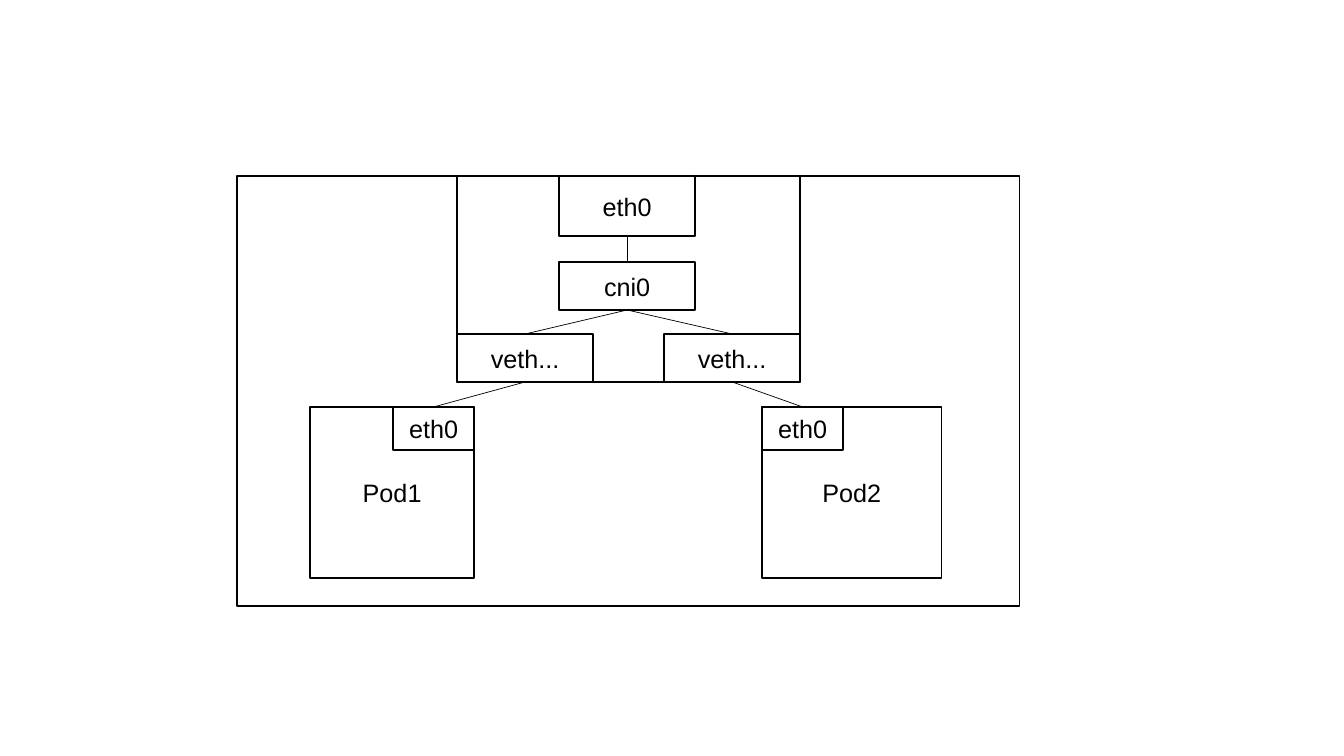
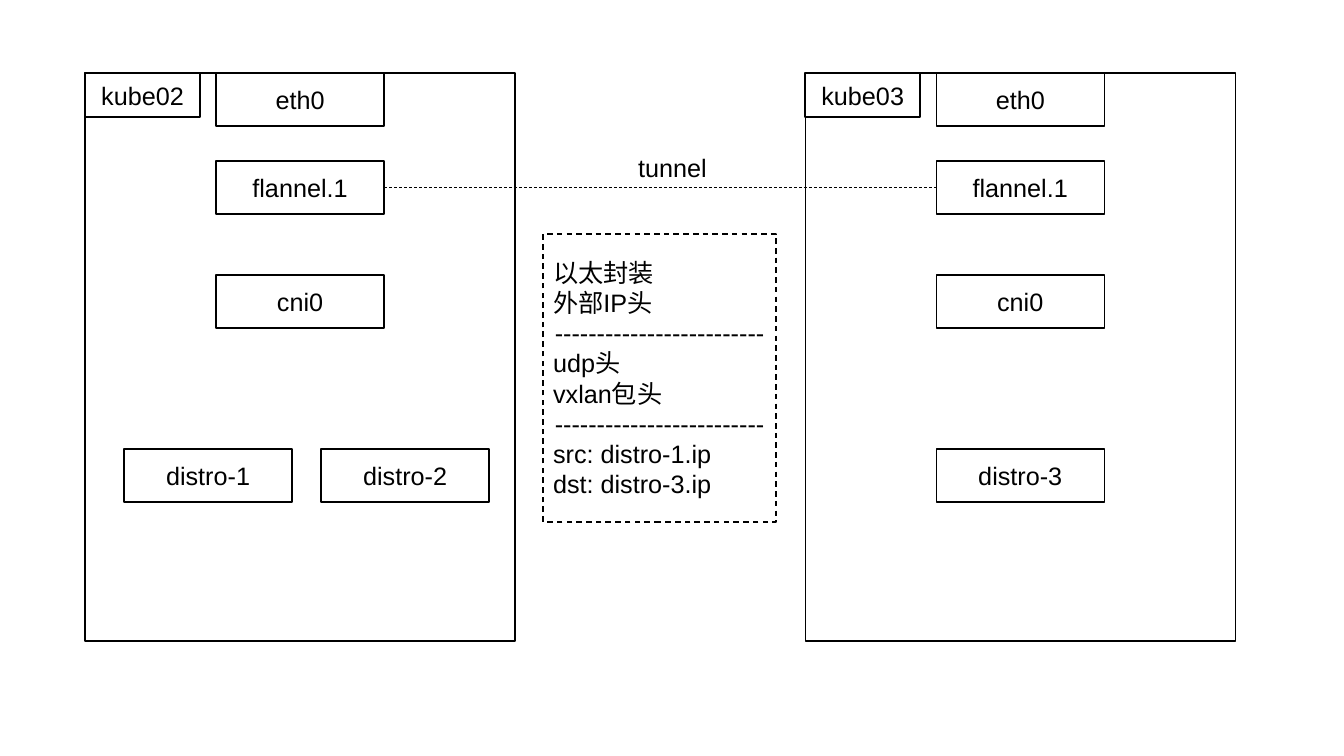
from pptx import Presentation
from pptx.dml.color import RGBColor
from pptx.enum.dml import MSO_LINE
from pptx.enum.shapes import MSO_CONNECTOR, MSO_SHAPE
from pptx.enum.text import MSO_ANCHOR, PP_ALIGN
from pptx.oxml.ns import qn
from pptx.util import Emu, Inches, Pt
from lxml.etree import SubElement

BLACK = RGBColor(0x00, 0x00, 0x00)
WHITE = RGBColor(0xFF, 0xFF, 0xFF)
CENTER, LEFT = PP_ALIGN.CENTER, PP_ALIGN.LEFT
TOP_SITE, LEFT_SITE, BOTTOM_SITE, RIGHT_SITE = range(4)


def px(n):
    return Emu(round(n * 914400 / 100.8))


class Diagram:
    """Draws black-on-white network diagrams on the current slide."""

    font = {"name": "Arial", "size": Pt(18)}

    def __init__(self, prs):
        self.prs = prs
        self.s = None

    def new_slide(self):
        self.s = self.prs.slides.add_slide(self.prs.slide_layouts[6])

    def add_lines(self, tf, lines):
        for i, (text, align) in enumerate(lines):
            p = tf.paragraphs[0] if i == 0 else tf.add_paragraph()
            p.alignment = align
            r = p.add_run()
            r.text = text
            for key, value in self.font.items():
                setattr(r.font, key, value)
            r.font.color.rgb = BLACK

    def stroke(self, line, width, dash):
        line.color.rgb = BLACK
        line.width = Pt(width)
        if dash:
            line.dash_style = MSO_LINE.DASH

    def box(self, x, y, w, h, *lines, align=CENTER, dash=False):
        sp = self.s.shapes.add_shape(MSO_SHAPE.RECTANGLE, px(x), px(y), px(w), px(h))
        sp.shadow.inherit = False
        sp.fill.solid()
        sp.fill.fore_color.rgb = WHITE
        self.stroke(sp.line, 1, dash)
        tf = sp.text_frame
        tf.word_wrap = True
        tf.vertical_anchor = MSO_ANCHOR.MIDDLE
        rows = [(t, CENTER if t.startswith("--") else align) for t in lines]
        self.add_lines(tf, rows)
        return sp

    def link(self, start, start_site, end, end_site, dash=False):
        c = self.s.shapes.add_connector(MSO_CONNECTOR.STRAIGHT, 0, 0, 0, 0)
        c.begin_connect(start, start_site)
        c.end_connect(end, end_site)
        self.stroke(c.line, 0.5, dash)
        SubElement(c._element.spPr, qn("a:effectLst"))

    def label(self, x, y, w, h, text):
        tf = self.s.shapes.add_textbox(px(x), px(y), px(w), px(h)).text_frame
        tf.word_wrap = False
        self.add_lines(tf, [(text, LEFT)])


def pod_slide(d):
    d.new_slide()
    d.box(237, 176, 782, 430)
    d.box(457, 176, 343, 206)
    eth = d.box(559, 176, 136, 60, "eth0")
    cni = d.box(559, 262, 136, 48, "cni0")
    d.link(eth, BOTTOM_SITE, cni, TOP_SITE)
    pods = [("Pod1", 310, 164, 393, 457), ("Pod2", 762, 179, 762, 664)]
    for name, x, w, port_x, veth_x in pods:
        d.box(x, 407, w, 171, name)
        port = d.box(port_x, 407, 81, 43, "eth0")
        veth = d.box(veth_x, 334, 136, 48, "veth...")
        d.link(veth, BOTTOM_SITE, port, TOP_SITE)
        d.link(veth, TOP_SITE, cni, BOTTOM_SITE)


def host(d, x, name, guests):
    d.box(x, 73, 430, 568)
    d.box(x, 73, 115, 44, name)
    devices = [("eth0", 73), ("flannel.1", 161), ("cni0", 275)]
    boxes = {t: d.box(x + 131, y, 168, 53, t) for t, y in devices}
    for text, dx in guests:
        d.box(x + dx, 449, 168, 53, text)
    return boxes["flannel.1"]


def tunnel_slide(d):
    d.new_slide()
    near = host(d, 85, "kube02", [("distro-1", 39), ("distro-2", 236)])
    far = host(d, 805, "kube03", [("distro-3", 131)])
    rule = "-" * 25
    d.box(543, 234, 233, 288, "以太封装", "外部IP头", rule, "udp头", "vxlan包头", rule,
          "src: distro-1.ip", "dst: distro-3.ip", align=LEFT, dash=True)
    d.link(near, RIGHT_SITE, far, LEFT_SITE, dash=True)
    d.label(628, 147, 89, 40, "tunnel")


prs = Presentation()
prs.slide_width, prs.slide_height = Inches(13.33), Inches(7.5)
diagram = Diagram(prs)
pod_slide(diagram)
tunnel_slide(diagram)
prs.save("out.pptx")
